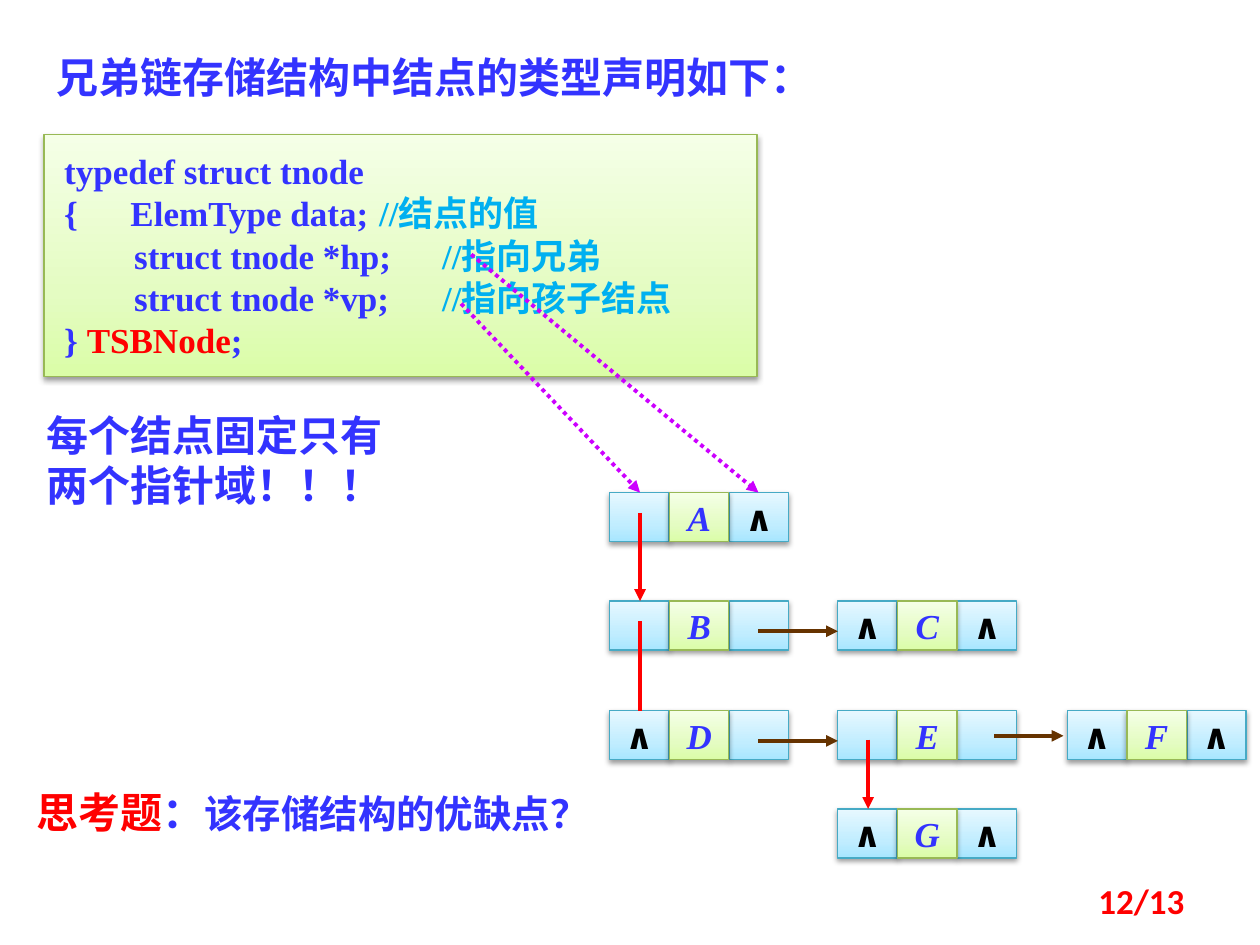
from pptx import Presentation
from pptx import util as u
from pptx.dml.color import RGBColor
from pptx.enum import dml, shapes, text
from pptx.oxml import parse_xml
from pptx.oxml.ns import nsdecls, qn

HUES = {"blue": "3333FF", "sky": "00B0F0", "red": "FF0000", "black": "000000",
        "brown": "663300", "violet": "CC00FF"}
# Gradient stops from bottom to top, then the edge
SKINS = {"green": ("DAFDA7", "E4FCC2", "F5FFE7", "98B955"),
         "aqua": ("A7E6FF", "C1EDFF", "E7F8FF", "46AAC5")}
LATIN, HAN, SANS = "Times New Roman", "Noto Sans CJK SC", "Calibri"
SIDE = text.PP_ALIGN


def hue(name):
    return RGBColor.from_string(HUES.get(name, name))


class Deck:
    def __init__(self):
        self.prs = Presentation()
        self.prs.slide_width, self.prs.slide_height = u.Inches(10), u.Inches(7.5)
        self.slide = self.prs.slides.add_slide(self.prs.slide_layouts[6])
        self.base = {"name": LATIN, "size": 20, "bold": True, "italic": False}

    def letter(self, shape, paras, align=SIDE.LEFT, lead=None, frame=None, **style):
        """Fill a shape with paragraphs, each a list of (text, hue, changes)."""
        tf = shape.text_frame
        for key, val in {"word_wrap": True, **(frame or {})}.items():
            setattr(tf, key, val)
        for i, runs in enumerate(paras):
            p = tf.paragraphs[0] if i == 0 else tf.add_paragraph()
            p.alignment = align
            if lead:
                p.line_spacing = u.Pt(lead)
            for words, tint, *more in runs:
                run = p.add_run()
                run.text = words
                form = {**self.base, **style, **(more[0] if more else {})}
                form["size"] = u.Pt(form["size"])
                for key, val in form.items():
                    setattr(run.font, key, val)
                run.font.color.rgb = hue(tint)
                east = parse_xml(f'<a:ea {nsdecls("a")} typeface="{HAN}"/>')
                run.font._element.find(qn("a:latin")).addnext(east)

    def label(self, box, paras, **style):
        shape = self.slide.shapes.add_textbox(*map(u.Inches, box))
        self.letter(shape, paras, **style)

    def block(self, box, skin):
        """A rectangle with gradient fill, thin edge and soft shadow."""
        shape = self.slide.shapes.add_shape(
            shapes.MSO_SHAPE.RECTANGLE, *map(u.Inches, box))
        *stops, edge = SKINS[skin]
        shape.fill.gradient()
        old = shape._element.spPr.find(qn("a:gradFill"))
        marks = "".join(f'<a:gs pos="{pos}"><a:srgbClr val="{c}"/></a:gs>'
                        for pos, c in zip((0, 35000, 100000), stops))
        old.getparent().replace(old, parse_xml(
            f'<a:gradFill {nsdecls("a")} rotWithShape="1"><a:gsLst>{marks}</a:gsLst>'
            '<a:lin ang="16200000" scaled="0"/></a:gradFill>'))
        shape.line.color.rgb = hue(edge)
        shape.line.width = u.Pt(0.75)
        shape.shadow.inherit = False
        shape._element.spPr.find(qn("a:effectLst")).append(parse_xml(
            f'<a:outerShdw {nsdecls("a")} blurRad="{u.Pt(3.1)}" dist="{u.Pt(1.6)}" '
            'dir="5400000" rotWithShape="0"><a:srgbClr val="000000">'
            '<a:alpha val="38000"/></a:srgbClr></a:outerShdw>'))
        return shape

    def node(self, left, top, name, first, last):
        """Three cells: child pointer, data, sibling pointer."""
        wide, high = 0.47, 0.39
        cells = [(0, "aqua", first, "black", {"name": SANS}),
                 (2, "aqua", last, "black", {"name": SANS}),
                 (1, "green", name, "blue", {"italic": True})]
        frame = {"word_wrap": False, "vertical_anchor": text.MSO_ANCHOR.MIDDLE}
        for col, skin, words, tint, form in cells:
            cell = self.block((left + col * 0.475, top, wide, high), skin)
            if words:
                self.letter(cell, [[(words, tint)]], align=SIDE.CENTER,
                            frame=frame, **form)

    def link(self, start, end, tint, head=True, dots=False):
        line = self.slide.shapes.add_connector(
            shapes.MSO_CONNECTOR.STRAIGHT, *map(u.Inches, start + end))
        line.line.color.rgb = hue(tint)
        line.line.width = u.Pt(2.25)
        if dots:
            line.line.dash_style = dml.MSO_LINE.ROUND_DOT
        props = line._element.spPr
        if head:
            props.find(qn("a:ln")).append(
                parse_xml(f'<a:tailEnd {nsdecls("a")} type="triangle"/>'))
        props.append(parse_xml(f'<a:effectLst {nsdecls("a")}/>'))


def main():
    deck = Deck()

    # Type declaration
    panel = deck.block((0.35, 1.07, 5.66, 1.92), "green")
    pad = {"margin_left": 0.16, "margin_right": 0.16,
           "margin_top": 0.12, "margin_bottom": 0.12}
    frame = {key: u.Inches(val) for key, val in pad.items()}
    frame["vertical_anchor"] = text.MSO_ANCHOR.TOP
    code = [[("typedef struct tnode", "blue")],
            [("{      ElemType data;\t", "blue"), ("//结点的值", "sky")],
            [("        struct tnode *hp;  \t", "blue"), ("//指向兄弟", "sky")],
            [("        struct tnode *vp;  \t", "blue"), ("//指向孩子结点", "sky")],
            [("} ", "blue"), ("TSBNode", "red"), (";", "blue")]]
    deck.letter(panel, code, lead=24, frame=frame)

    # Heading, remark and question
    deck.label((0.19, 6.19, 5.12, 0.5),
               [[("思考题", "red", {"name": HAN}), ("：", "blue", {"name": HAN}),
                 ("该存储结构的优缺点？", "blue", {"size": 22})]], size=24, lead=28.8)
    deck.label((0.35, 0.36, 6.46, 0.5),
               [[("兄弟链存储结构中结点的类型声明如下：", "blue")]], size=24, lead=28.8)
    deck.label((0.27, 3.2, 2.99, 0.91),
               [[("每个结点固定只有两个指针域！！！", "blue")]], size=24, lead=28.8)

    # Linked nodes: column, row, name, child mark, sibling mark
    cols, rows, nil = (4.84, 6.65, 8.47), (3.91, 4.77, 5.64, 6.42), "∧"
    tree = [(0, 0, "A", "", nil), (0, 1, "B", "", ""), (1, 1, "C", nil, nil),
            (0, 2, "D", nil, ""), (1, 2, "E", "", ""), (2, 2, "F", nil, nil),
            (1, 3, "G", nil, nil)]
    for col, row, *marks in tree:
        deck.node(cols[col], rows[row], *marks)

    # Child links
    deck.link((5.08, 4.07), (5.08, 4.77), "red")
    deck.link((5.08, 4.93), (5.08, 5.64), "red", head=False)
    deck.link((6.89, 5.87), (6.89, 6.42), "red")

    # Sibling links
    for left, right, y in ((6.02, 6.65, 5.01), (6.02, 6.65, 5.88), (7.89, 8.44, 5.84)):
        deck.link((left, y), (right, y), "brown")

    # From the declared fields to the cells of the root
    deck.link((3.66, 2.41), (5.08, 3.91), "violet", dots=True)
    deck.link((3.74, 2.02), (6.02, 3.91), "violet", dots=True)

    # Page number
    deck.label((7.17, 6.95, 2.33, 0.4), [[("12/13", "red")]], align=SIDE.RIGHT,
               frame={"vertical_anchor": text.MSO_ANCHOR.MIDDLE}, name=SANS)

    deck.prs.save("out.pptx")


if __name__ == "__main__":
    main()
